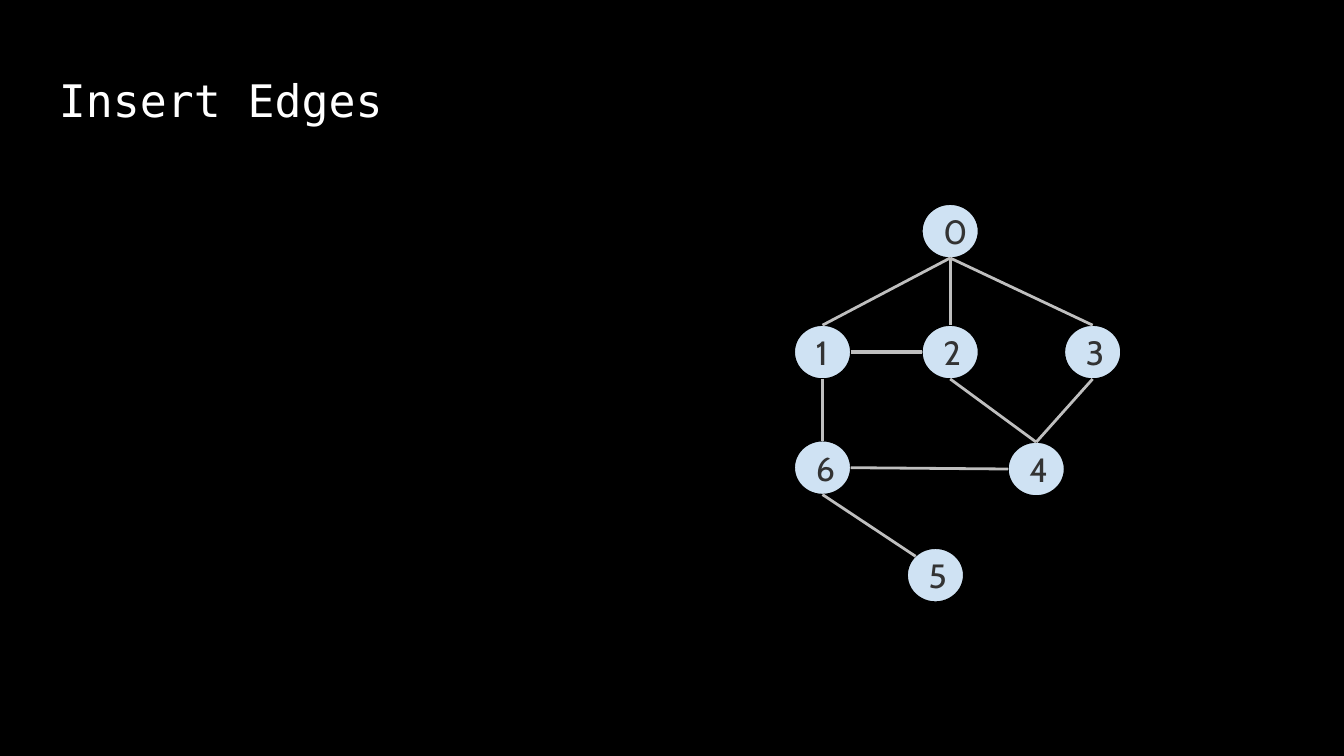
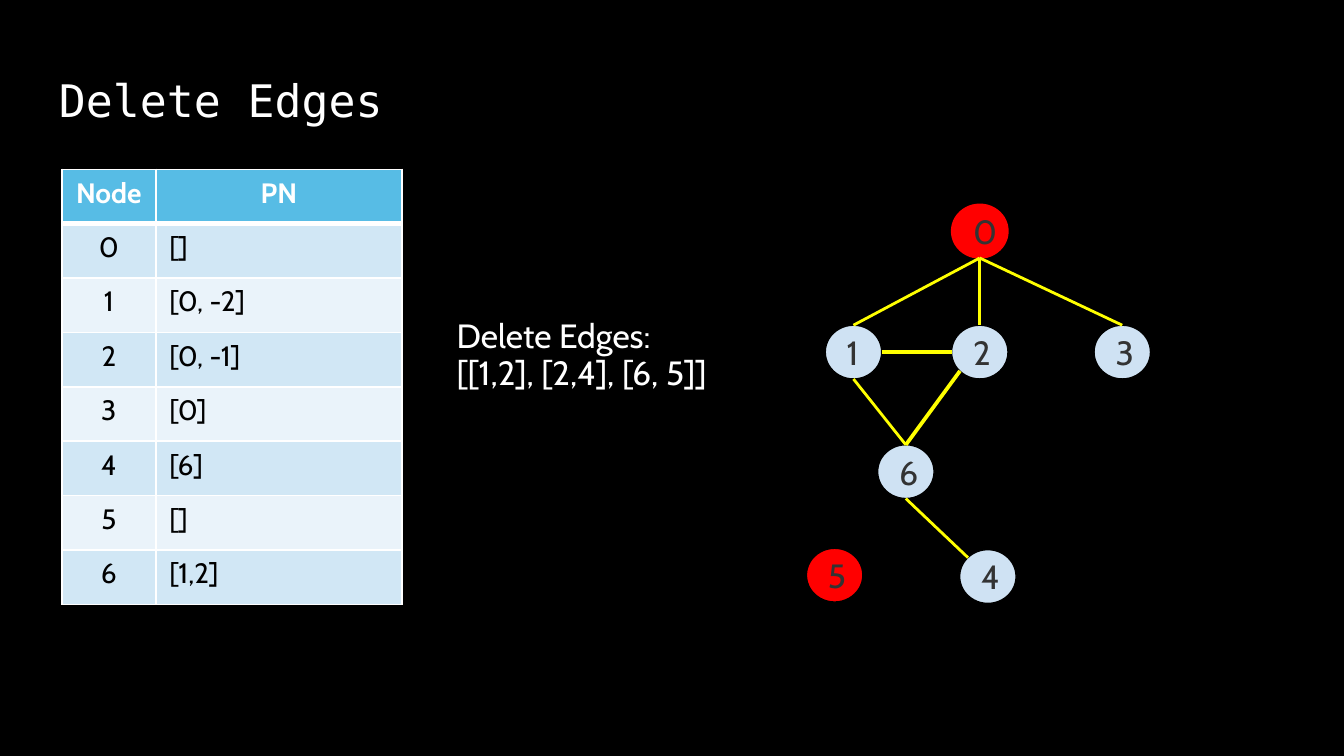
"""Build two slides that show edges being inserted into and deleted from a graph."""
import lxml.etree
import pptx
import pptx.dml.color
import pptx.enum.shapes
import pptx.enum.text
import pptx.oxml.ns
import pptx.util

Inches = pptx.util.Inches
Pt = pptx.util.Pt
RGBColor = pptx.dml.color.RGBColor
qn = pptx.oxml.ns.qn

BLACK = RGBColor(0x00, 0x00, 0x00)
WHITE = RGBColor(0xFF, 0xFF, 0xFF)
RED = RGBColor(0xFF, 0x00, 0x00)
YELLOW = RGBColor(0xFF, 0xFF, 0x00)
GREY = RGBColor(0xBF, 0xBF, 0xBF)
NODE_BLUE = RGBColor(0xCF, 0xE2, 0xF3)
NODE_TEXT = RGBColor(0x33, 0x33, 0x33)
HEADER_BLUE = RGBColor(0x57, 0xBC, 0xE5)
BAND_DARK = RGBColor(0xD1, 0xE7, 0xF5)
BAND_LIGHT = RGBColor(0xEA, 0xF3, 0xFA)

TITLE_FONT = "DejaVu Sans Mono"
BODY_FONT = "Cabin"
NODE_WIDTH, NODE_HEIGHT = 0.42, 0.4

SITES = {
    "top": (0, 0.5, 0),
    "top left": (1, 0.15, 0.15),
    "left": (2, 0, 0.5),
    "bottom left": (3, 0.15, 0.85),
    "bottom": (4, 0.5, 1),
    "right": (6, 1, 0.5),
}

GRAPHS = [
    {
        "title": "Insert Edges",
        "edge_color": GREY,
        "red_nodes": "",
        "nodes": {
            "0": (6.86, 1.52), "1": (5.91, 2.42), "2": (6.86, 2.42), "3": (7.92, 2.42),
            "4": (7.5, 3.29), "5": (6.75, 4.08), "6": (5.91, 3.28),
        },
        "edges": [
            ("0", "bottom", "1", "top", 1.5),
            ("0", "bottom", "3", "top", 1.5),
            ("2", "bottom", "4", "top", 1.5),
            ("0", "bottom", "2", "top", 1.5),
            ("3", "bottom", "4", "top", 1.5),
            ("4", "left", "6", "right", 1.5),
            ("6", "bottom", "5", "top left", 1.5),
            ("1", "bottom", "6", "top", 1.5),
            ("1", "right", "2", "left", 2),
        ],
    },
    {
        "title": "Delete Edges",
        "edge_color": YELLOW,
        "red_nodes": "05",
        "nodes": {
            "0": (7.08, 1.52), "1": (6.14, 2.42), "2": (7.08, 2.42), "3": (8.14, 2.42),
            "4": (7.14, 4.09), "5": (6, 4.08), "6": (6.53, 3.31),
        },
        "edges": [
            ("0", "bottom", "1", "top", 1.5),
            ("0", "bottom", "3", "top", 1.5),
            ("0", "bottom", "2", "top", 1.5),
            ("4", "top left", "6", "bottom", 1.5),
            ("1", "bottom", "6", "top", 1.5),
            ("1", "right", "2", "left", 2),
            ("2", "bottom left", "6", "top", 2),
        ],
    },
]

NEIGHBOURS = ["[]", "[0, -2]", "[0, -1]", "[0]", "[6]", "[]", "[1,2]"]


def style_text(frame, font_name, size, color, line_spacing=None, bold=False):
    for para in frame.paragraphs:
        para.line_spacing = line_spacing
        for span in para.runs:
            span.font.name = font_name
            span.font.size = Pt(size)
            span.font.bold = bold
            span.font.color.rgb = color


def add_text(page, left, top, width, height, text, font_name, size):
    box = page.shapes.add_textbox(Inches(left), Inches(top), Inches(width), Inches(height))
    frame = box.text_frame
    frame.word_wrap = True
    frame.margin_left = frame.margin_right = Inches(0.1)
    frame.margin_top = frame.margin_bottom = Inches(0.1)
    frame.text = text
    style_text(frame, font_name, size, WHITE, line_spacing=0.9)
    return box


deck = pptx.Presentation()
deck.slide_width = Inches(10)
deck.slide_height = deck.slide_width * 9 // 16
deck.slide_master.background.fill.solid()
deck.slide_master.background.fill.fore_color.rgb = BLACK

for graph in GRAPHS:
    page = deck.slides.add_slide(deck.slide_layouts[6])
    add_text(page, 0.34, 0.49, 9.32, 0.63, graph["title"], TITLE_FONT, 24)

    node_shapes = {}
    for label, (left, top) in graph["nodes"].items():
        node = page.shapes.add_shape(
            pptx.enum.shapes.MSO_SHAPE.OVAL,
            Inches(left), Inches(top), Inches(NODE_WIDTH), Inches(NODE_HEIGHT))
        node.shadow.inherit = False
        node.fill.solid()
        node.fill.fore_color.rgb = RED if label in graph["red_nodes"] else NODE_BLUE
        node.line.color.rgb = RED if label == "0" and graph["red_nodes"] else BLACK
        node.line.width = Pt(0.75)
        frame = node.text_frame
        frame.margin_left = frame.margin_right = Inches(0.1)
        frame.margin_top = frame.margin_bottom = Inches(0.1)
        frame.vertical_anchor = pptx.enum.text.MSO_ANCHOR.MIDDLE
        frame.text = label
        frame.paragraphs[0].alignment = pptx.enum.text.PP_ALIGN.LEFT
        style_text(frame, BODY_FONT, 18, NODE_TEXT)
        node_shapes[label] = node

    for start, start_site, end, end_site, weight in graph["edges"]:
        points = []
        joints = []
        for tag, label, site in (("a:stCxn", start, start_site), ("a:endCxn", end, end_site)):
            index, across, down = SITES[site]
            left, top = graph["nodes"][label]
            points += [Inches(left + across * NODE_WIDTH), Inches(top + down * NODE_HEIGHT)]
            joints.append((tag, node_shapes[label].shape_id, index))
        edge = page.shapes.add_connector(pptx.enum.shapes.MSO_CONNECTOR.STRAIGHT, *points)
        edge.line.color.rgb = graph["edge_color"]
        edge.line.width = Pt(weight)
        lxml.etree.SubElement(edge._element.spPr, qn("a:effectLst"))
        holder = edge._element.find(".//" + qn("p:cNvCxnSpPr"))
        for tag, shape_id, index in joints:
            lxml.etree.SubElement(holder, qn(tag), id=str(shape_id), idx=str(index))

body = add_text(page, 3.18, 2.28, 6.49, 3.74,
                "Delete Edges:\n[[1,2], [2,4], [6, 5]]", BODY_FONT, 18)
for para in body.text_frame.paragraphs:
    properties = para._p.get_or_add_pPr()
    properties.set("marL", str(Inches(0.12)))
    properties.set("indent", "0")

rows = [("Node", "PN")] + [(str(node), text) for node, text in enumerate(NEIGHBOURS)]
table = page.shapes.add_table(
    len(rows), 2, Inches(0.46), Inches(1.26), Inches(2.53), Inches(3.24)).table
table.columns[0].width = Inches(0.7)
table.columns[1].width = Inches(1.83)
for row_index, row in enumerate(rows):
    is_header = row_index == 0
    band = HEADER_BLUE if is_header else BAND_DARK if row_index % 2 else BAND_LIGHT
    for column_index, text in enumerate(row):
        cell = table.cell(row_index, column_index)
        cell.text_frame.text = text
        style_text(cell.text_frame, BODY_FONT, 15, WHITE if is_header else BLACK, bold=is_header)
        if is_header or column_index == 0:
            cell.text_frame.paragraphs[0].alignment = pptx.enum.text.PP_ALIGN.CENTER
        properties = cell._tc.get_or_add_tcPr()
        for side in ("L", "R", "T", "B"):
            is_thick = (row_index, side) in ((0, "B"), (1, "T"))
            border = lxml.etree.SubElement(
                properties, qn("a:ln" + side), w=str(Pt(3 if is_thick else 1)))
            paint = lxml.etree.SubElement(border, qn("a:solidFill"))
            lxml.etree.SubElement(paint, qn("a:srgbClr"), val=str(WHITE))
        cell.fill.solid()
        cell.fill.fore_color.rgb = band

deck.save("out.pptx")
